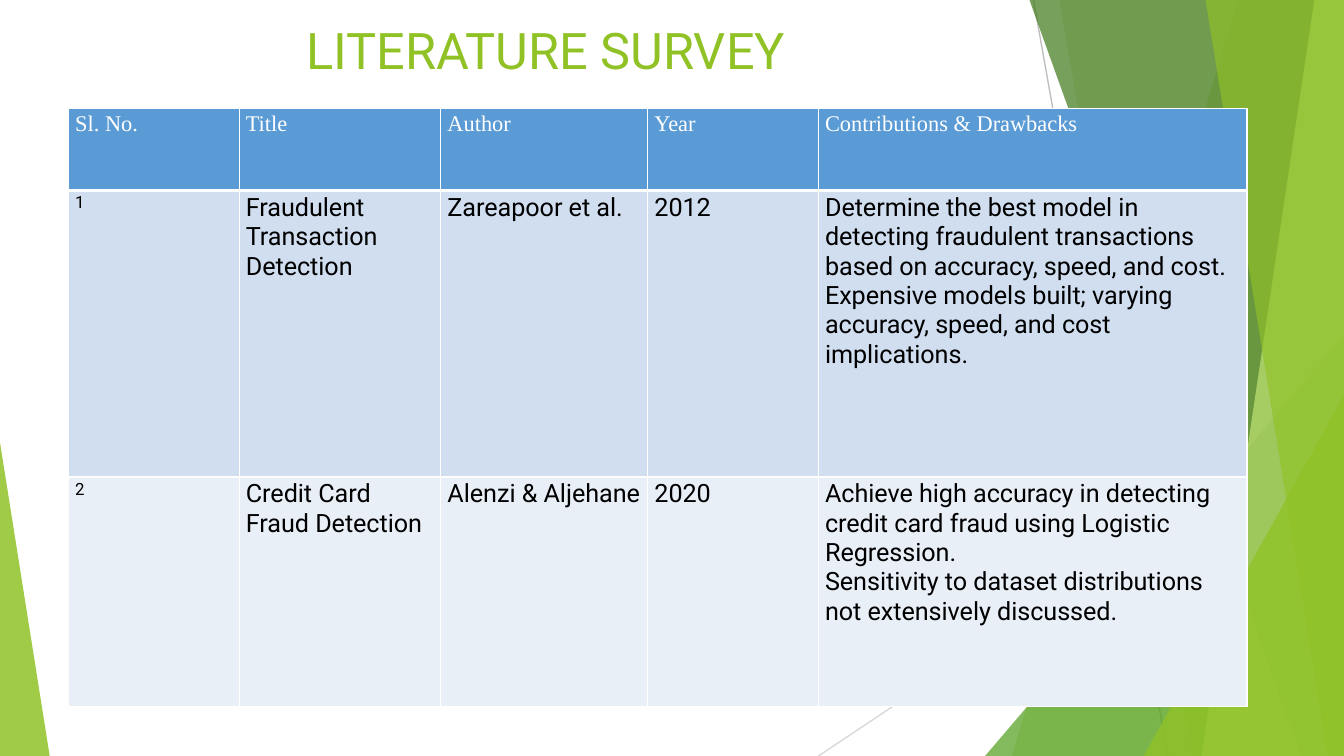
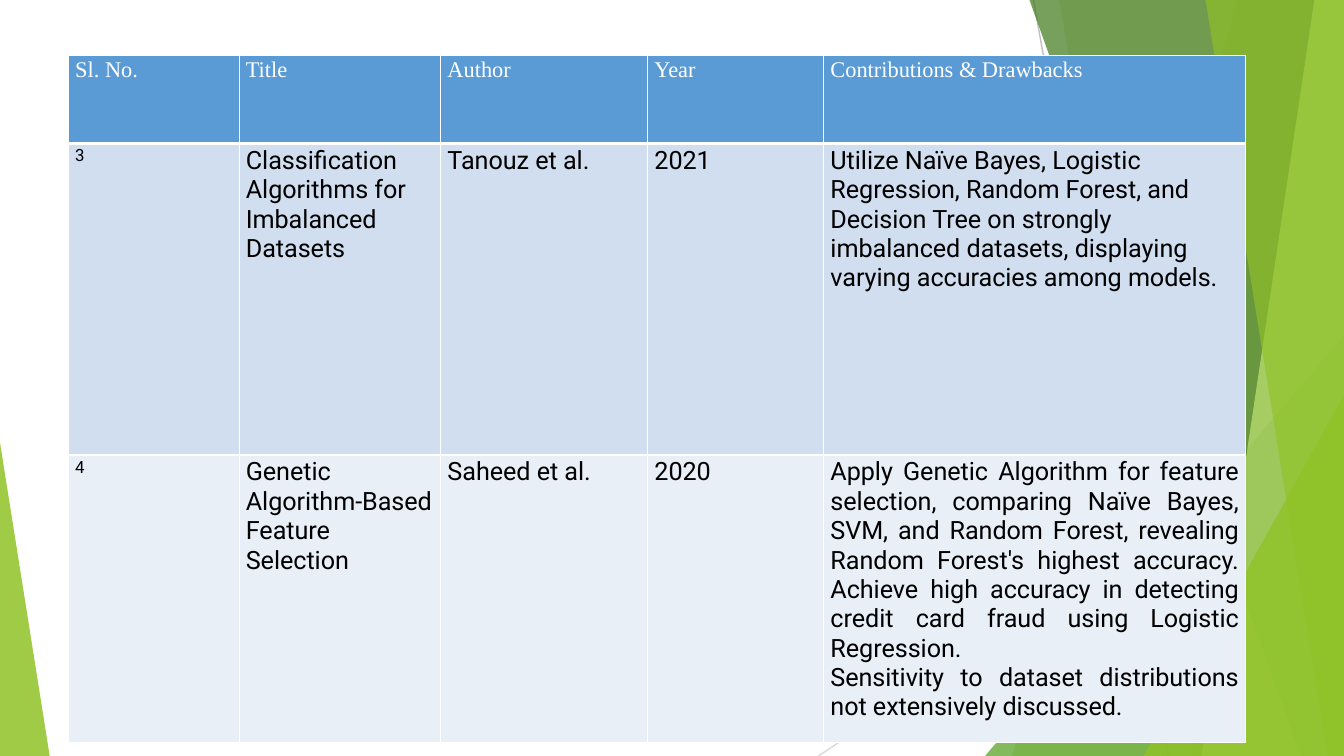
from lxml import etree
from pptx import Presentation
from pptx.dml.color import RGBColor
from pptx.enum.shapes import MSO_CONNECTOR, MSO_SHAPE
from pptx.enum.text import MSO_ANCHOR, PP_ALIGN
from pptx.oxml.ns import qn
from pptx.util import Inches, Pt

STRAIGHT = MSO_CONNECTOR.STRAIGHT
TRIANGLE = MSO_SHAPE.ISOSCELES_TRIANGLE
MIDDLE = MSO_ANCHOR.MIDDLE
LEFT, CENTER, JUSTIFY = PP_ALIGN.LEFT, PP_ALIGN.CENTER, PP_ALIGN.JUSTIFY

SLIDE_W, SLIDE_H = Inches(10), Inches(5.625)

# Shared style
GREEN, MID_GREEN, DARK_GREEN, PALE_GREEN = "90C226", "54A021", "3F7819", "C0E474"
HEADER_FILL, ROW_FILLS = "5B9BD5", ("D0DEEF", "E9EFF7")
WHITE, BLACK = "FFFFFF", "000000"
BODY_FONT, HEADER_FONT = "Roboto", "Times New Roman"
THIN, THICK = 0.75, 2
HEADINGS = ("Sl. No.", "Title", "Author", "Year", "Contributions & Drawbacks")

# Background, back to front; lengths are percent of the slide's width or height
RAYS = [((76.9, 0), (86.9, 100), "BFBFBF"), ((100, 53.7), (60.9, 100), "D9D9D9")]
# Bands reach the right edge: (top left x, bottom left x, colour, opacity)
# Wedges stand on the bottom edge: (left, top, width, apex, colour, opacity)
FACETS = [
    ("band", 92.1, 75.3, GREEN, 30),
    ("band", 78.8, 88.7, GREEN, 20),
    ("wedge", 73.3, 44.4, 26.7, 1, MID_GREEN, 72),
    ("band", 76.6, 96.8, DARK_GREEN, 70),
    ("band", 97.8, 89.4, PALE_GREEN, 70),
    ("band", 89.7, 98.8, GREEN, 65),
    ("wedge", 85.1, 52.3, 14.9, 1, GREEN, 80),
    ("wedge", 0, 58.5, 3.7, 0, GREEN, 85),
]

# Content
DETECTION_STUDIES = [
    ("1", "Fraudulent Transaction Detection", "Zareapoor et al.", "2012",
     "Determine the best model in detecting fraudulent transactions based on "
     "accuracy, speed, and cost.\n"
     "Expensive models built; varying accuracy, speed, and cost implications."),
    ("2", "Credit Card Fraud Detection", "Alenzi & Aljehane", "2020",
     "Achieve high accuracy in detecting credit card fraud using Logistic Regression.\n"
     "Sensitivity to dataset distributions not extensively discussed."),
]
MODEL_STUDIES = [
    ("3", "Classification Algorithms for Imbalanced Datasets", "Tanouz et al.", "2021",
     "Utilize Naïve Bayes, Logistic Regression, Random Forest, and Decision Tree on "
     "strongly imbalanced datasets, displaying varying accuracies among models."),
    ("4", "Genetic Algorithm-Based Feature Selection", "Saheed et al.", "2020",
     "Apply Genetic Algorithm for feature selection, comparing Naïve Bayes, SVM, and "
     "Random Forest, revealing Random Forest's highest accuracy. Achieve high accuracy "
     "in detecting credit card fraud using Logistic Regression.\n"
     "Sensitivity to dataset distributions not extensively discussed."),
]


def across(percent):
    return round(SLIDE_W * percent / 100)


def down(percent):
    return round(SLIDE_H * percent / 100)


def rgb(colour):
    return RGBColor.from_string(colour)


def add_ray(slide, start, end, colour):
    ray = slide.shapes.add_connector(
        STRAIGHT, across(start[0]), down(start[1]), across(end[0]), down(end[1]))
    ray.line.color.rgb = rgb(colour)
    ray.line.width = Pt(THIN)
    etree.SubElement(ray._element.spPr, qn("a:effectLst"))


def paint(facet, colour, opacity):
    facet.shadow.inherit = False
    facet.line.fill.background()
    facet.fill.solid()
    facet.fill.fore_color.rgb = rgb(colour)
    tint = facet._element.spPr.find(qn("a:solidFill"))[0]
    etree.SubElement(tint, qn("a:alpha"), val=str(opacity * 1000))


def add_band(slide, top_x, bottom_x, colour, opacity):
    outline = slide.shapes.build_freeform(across(top_x), 0)
    outline.add_line_segments(
        [(SLIDE_W, 0), (SLIDE_W, SLIDE_H), (across(bottom_x), SLIDE_H)], close=True)
    paint(outline.convert_to_shape(), colour, opacity)


def add_wedge(slide, left, top, width, apex, colour, opacity):
    wedge = slide.shapes.add_shape(
        TRIANGLE, across(left), down(top), across(width), down(100 - top))
    wedge.adjustments[0] = apex
    paint(wedge, colour, opacity)


def add_background(slide):
    for ray in RAYS:
        add_ray(slide, *ray)
    for kind, *facet in FACETS:
        draw = add_band if kind == "band" else add_wedge
        draw(slide, *facet)


def write(frame, text, size, font, colour, align=LEFT):
    frame.word_wrap = True
    for index, line in enumerate(text.split("\n")):
        paragraph = frame.add_paragraph() if index else frame.paragraphs[0]
        paragraph.alignment = align
        run = paragraph.add_run()
        run.text = line
        run.font.size, run.font.name, run.font.bold = Pt(size), font, False
        run.font.color.rgb = rgb(colour)


def add_title(slide, text):
    frame = slide.shapes.add_textbox(
        across(7.1), down(2.3), across(67), down(8.4)).text_frame
    frame.margin_left = frame.margin_right = frame.margin_top = frame.margin_bottom = 0
    frame.vertical_anchor = MIDDLE
    write(frame, text, 27, BODY_FONT, GREEN, CENTER)


def style_cell(cell, fill, top, bottom):
    cell.margin_left = cell.margin_right = Inches(0.05)
    cell.margin_top = cell.margin_bottom = Inches(0.02)
    properties = cell._tc.get_or_add_tcPr()
    for side, width in (("L", THIN), ("R", THIN), ("T", top), ("B", bottom)):
        border = etree.SubElement(properties, qn("a:ln" + side), w=str(Pt(width)))
        solid = etree.SubElement(border, qn("a:solidFill"))
        etree.SubElement(solid, qn("a:srgbClr"), val=WHITE)
    cell.fill.solid()
    cell.fill.fore_color.rgb = rgb(fill)


def add_survey(slide, top, columns, rows, studies, last_align=LEFT):
    survey = slide.shapes.add_table(
        len(rows), len(columns), across(5.1), down(top),
        across(sum(columns)), down(sum(rows))).table
    for column, width in zip(survey.columns, columns):
        column.width = across(width)
    for row, height in zip(survey.rows, rows):
        row.height = down(height)

    # Header row
    for col, heading in enumerate(HEADINGS):
        cell = survey.cell(0, col)
        style_cell(cell, HEADER_FILL, THIN, THICK)
        write(cell.text_frame, heading, 12, HEADER_FONT, WHITE)

    # One row per study
    for row, study in enumerate(studies, 1):
        for col, text in enumerate(study):
            cell = survey.cell(row, col)
            style_cell(cell, ROW_FILLS[row - 1], THICK if row == 1 else THIN, THIN)
            is_last = row == len(studies) and col == len(study) - 1
            write(cell.text_frame, text, 13.5 if col else 9, BODY_FONT, BLACK,
                  last_align if is_last else LEFT)


def main():
    deck = Presentation()
    deck.slide_width, deck.slide_height = SLIDE_W, SLIDE_H
    blank = deck.slide_layouts[6]

    # Detection studies
    slide = deck.slides.add_slide(blank)
    add_background(slide)
    add_title(slide, "LITERATURE SURVEY")
    add_survey(slide, 14.4, (12.7, 15, 15.4, 12.7, 31.9), (10.8, 37.9, 30.4),
               DETECTION_STUDIES)

    # Model studies
    slide = deck.slides.add_slide(blank)
    add_background(slide)
    add_survey(slide, 7.3, (12.7, 15, 15.4, 13.1, 31.4), (11.7, 41.2, 38),
               MODEL_STUDIES, JUSTIFY)

    deck.save("out.pptx")


if __name__ == "__main__":
    main()
